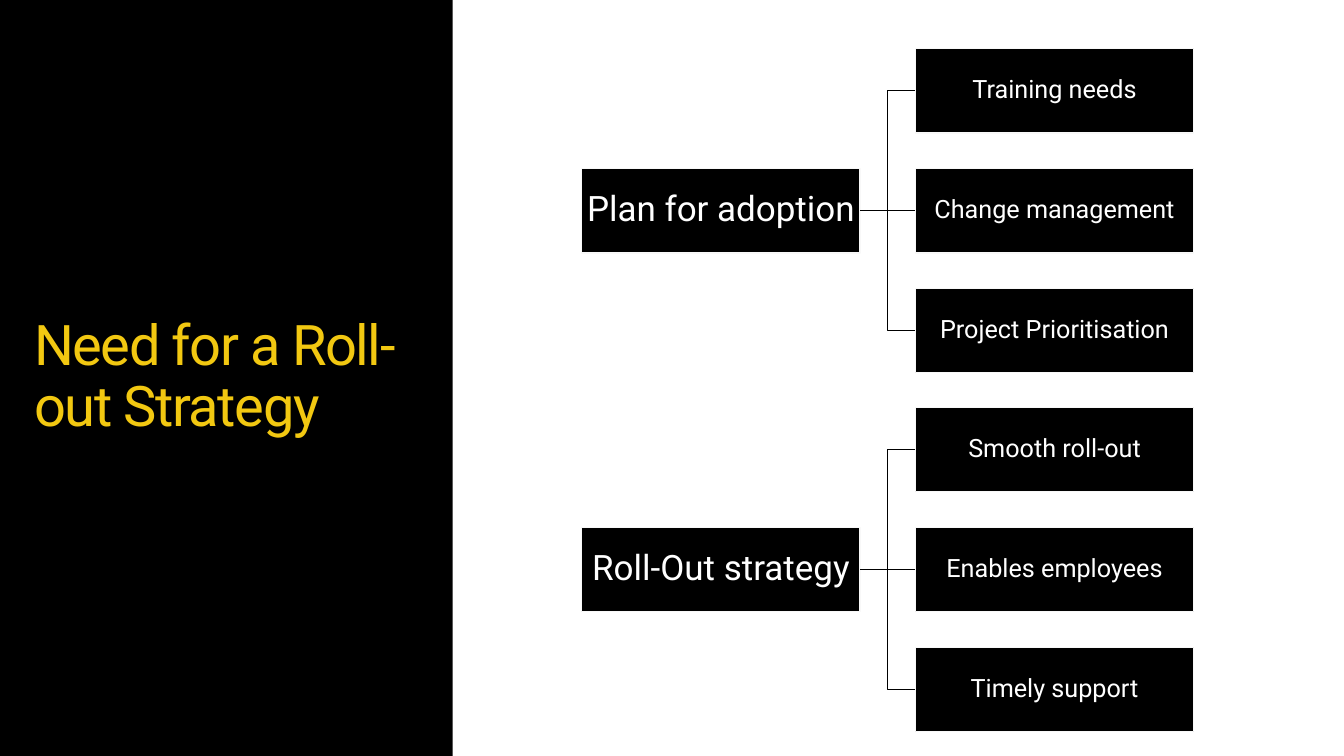
from dataclasses import dataclass

import pptx
import pptx.dml.color
import pptx.enum.shapes
import pptx.enum.text
import pptx.oxml
import pptx.util
from pptx.shapes.autoshape import Shape
from pptx.slide import Slide

PX = 9144  # EMU in one px, 100 px to the inch
FONT = "Roboto"
COLORS = {"black": "000000", "white": "FFFFFF", "edge": "F8F8F8", "title": "F2C811"}

BOX_WIDTH, BOX_HEIGHT = 276, 84
TOPIC_LEFT, DETAIL_LEFT = 577, 908
FIRST_TOP, LAST_TOP = 48, 642
LINE_WIDTH = 0.85


@dataclass(frozen=True)
class Branch:
    topic: str
    details: tuple[str, ...]


BRANCHES = (
    Branch("Plan for adoption",
           ("Training needs", "Change management", "Project Prioritisation")),
    Branch("Roll-Out strategy",
           ("Smooth roll-out", "Enables employees", "Timely support")),
)


def px(length: int) -> pptx.util.Emu:
    return pptx.util.Emu(length * PX)


def color(name: str) -> pptx.dml.color.RGBColor:
    return pptx.dml.color.RGBColor.from_string(COLORS[name])


def set_text(shape: Shape, text: str, *, size: int, fill: str, inset_x: int,
             inset_y: int, centered: bool = True, spacing: int = 0) -> None:
    """Write one paragraph; spacing is in hundredths of a point."""
    frame = shape.text_frame
    frame.word_wrap = True
    frame.vertical_anchor = pptx.enum.text.MSO_ANCHOR.MIDDLE
    frame.margin_left = frame.margin_right = px(inset_x)
    frame.margin_top = frame.margin_bottom = px(inset_y)
    paragraph = frame.paragraphs[0]
    alignments = pptx.enum.text.PP_ALIGN
    paragraph.alignment = alignments.CENTER if centered else alignments.LEFT
    paragraph.line_spacing = 0.9
    run = paragraph.add_run()
    run.text = text
    run.font.name = FONT
    run.font.size = pptx.util.Pt(size)
    run.font.color.rgb = color(fill)
    if spacing:
        run.font._element.set("spc", str(spacing))


def add_rectangle(slide: Slide, left: int, top: int, width: int, height: int,
                  edge: str | None = None) -> Shape:
    shape = slide.shapes.add_shape(
        pptx.enum.shapes.MSO_SHAPE.RECTANGLE, px(left), px(top), px(width), px(height))
    shape.shadow.inherit = False
    shape.fill.solid()
    shape.fill.fore_color.rgb = color("black")
    if edge:
        shape.line.color.rgb = color(edge)
        shape.line.width = pptx.util.Pt(LINE_WIDTH)
    else:
        shape.line.fill.background()
    return shape


def add_box(slide: Slide, text: str, left: int, top: int, size: int, inset: int) -> Shape:
    box = add_rectangle(slide, left, top, BOX_WIDTH, BOX_HEIGHT, edge="edge")
    set_text(box, text, size=size, fill="white", inset_x=inset, inset_y=inset)
    return box


def join(slide: Slide, topic: Shape, detail: Shape) -> None:
    """Link the topic's right side to the detail's left side."""
    kinds = pptx.enum.shapes.MSO_CONNECTOR
    kind = kinds.STRAIGHT if topic.top == detail.top else kinds.ELBOW
    connector = slide.shapes.add_connector(
        kind, topic.left + topic.width, topic.top + topic.height // 2,
        detail.left, detail.top + detail.height // 2)
    connector.begin_connect(topic, 3)
    connector.end_connect(detail, 1)
    connector.line.color.rgb = color("black")
    connector.line.width = pptx.util.Pt(LINE_WIDTH)
    connector._element.spPr.append(pptx.oxml.parse_xml(
        '<a:effectLst xmlns:a="http://schemas.openxmlformats.org/drawingml/2006/main"/>'))


def add_tree(slide: Slide) -> None:
    row_count = sum(len(branch.details) for branch in BRANCHES)
    pitch = (LAST_TOP - FIRST_TOP) / (row_count - 1)
    tops = [round(FIRST_TOP + row * pitch) for row in range(row_count)]
    first_row = 0
    for branch in BRANCHES:
        branch_tops = tops[first_row:first_row + len(branch.details)]
        first_row += len(branch.details)
        middle_top = branch_tops[len(branch_tops) // 2]
        topic = add_box(slide, branch.topic, TOPIC_LEFT, middle_top, size=25, inset=2)
        for text, top in zip(branch.details, branch_tops):
            detail = add_box(slide, text, DETAIL_LEFT, top, size=18, inset=1)
            join(slide, topic, detail)


def main() -> None:
    presentation = pptx.Presentation()
    presentation.slide_width, presentation.slide_height = px(1333), px(750)
    slide = presentation.slides.add_slide(presentation.slide_layouts[6])
    add_rectangle(slide, 0, 0, 449, 750)
    title = slide.shapes.add_textbox(px(18), px(246), px(410), px(258))
    set_text(title, "Need for a Roll-out Strategy", size=40, fill="title",
             inset_x=16, inset_y=10, centered=False, spacing=-100)
    add_tree(slide)
    presentation.save("out.pptx")


if __name__ == "__main__":
    main()
